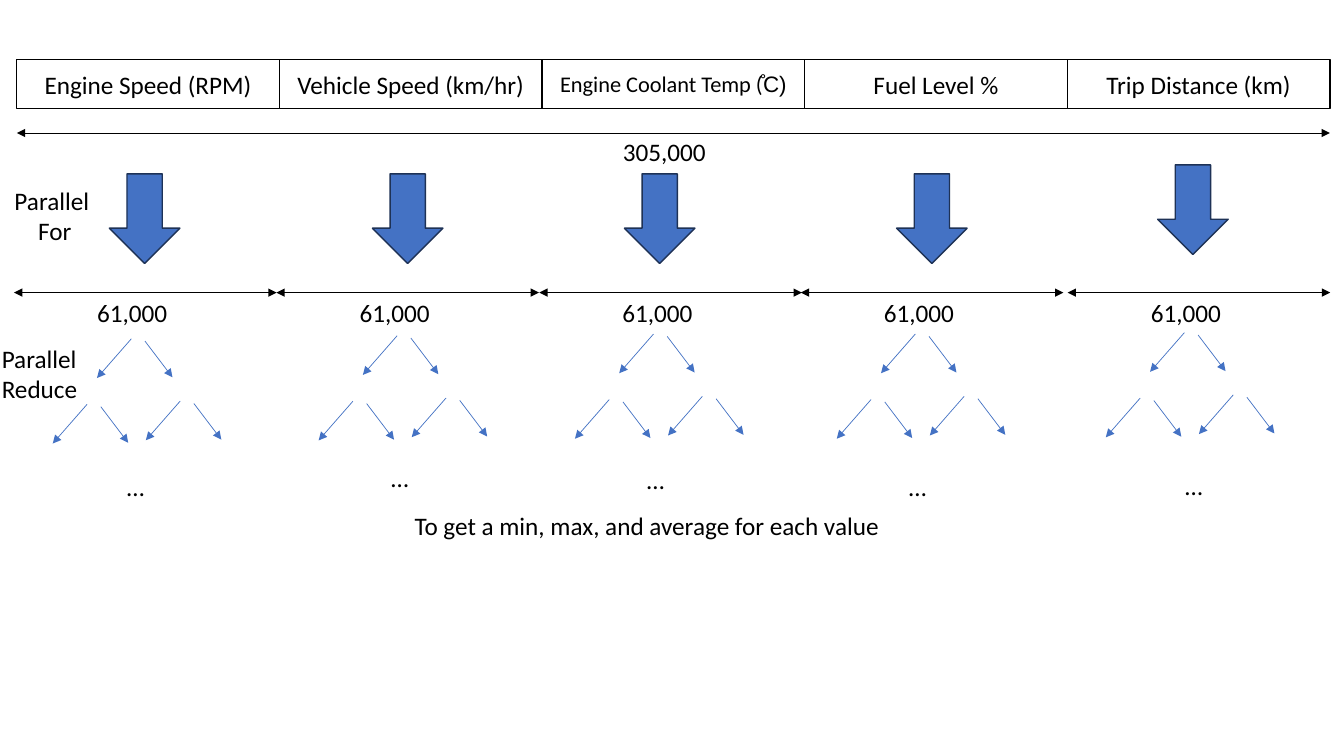
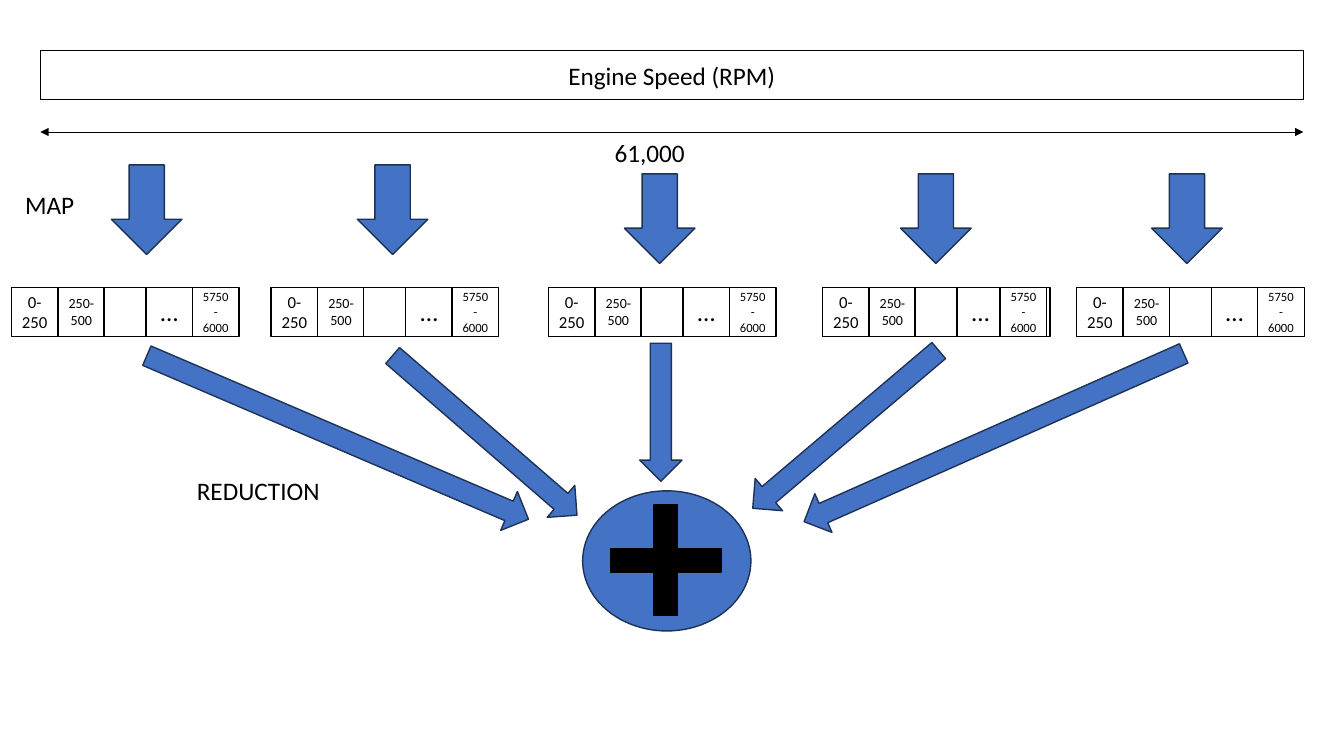
from dataclasses import dataclass

from lxml.etree import SubElement
from pptx import Presentation
from pptx.dml.color import RGBColor
from pptx.enum.shapes import MSO_CONNECTOR, MSO_SHAPE
from pptx.enum.text import MSO_ANCHOR, PP_ALIGN
from pptx.oxml.ns import qn
from pptx.util import Pt


@dataclass(frozen=True)
class Theme:
    black: RGBColor = RGBColor(0x00, 0x00, 0x00)
    white: RGBColor = RGBColor(0xFF, 0xFF, 0xFF)
    blue: RGBColor = RGBColor(0x44, 0x72, 0xC4)
    navy: RGBColor = RGBColor(0x1E, 0x32, 0x56)
    font: str = "Calibri"
    symbol_font: str = "Arial"
    body: float = 18
    compact: float = 16
    outline: float = 1
    hairline: float = 0.5


THEME = Theme()

# Content: a paragraph is a list of (text, format) runs
HEADINGS = [
    [("Engine Speed (RPM)", {})],
    [("Vehicle Speed (km/hr)", {})],
    [("Engine Coolant Temp (", {"size": THEME.compact}),
     ("̊C)", {"size": THEME.compact, "name": THEME.symbol_font})],
    [("Fuel Level %", {})],
    [("Trip Distance (km)", {})],
]
TOTAL_COUNT, COLUMN_COUNT = "305,000", "61,000"
PARALLEL_FOR = ["Parallel", " For"]
PARALLEL_REDUCE = ["Parallel", "Reduce"]
SUMMARY = "To get a min, max, and average for each value"
BINS = [("0-250", 12), ("250-500", 10), ("", 18), ("…", 18), ("5750-6000", 9)]

# Places on the first slide, one entry per column
HEADING_LEFT, HEADING_WIDTH, HEADING_HEIGHT = 12, 187.6, 35
SPAN_LEFTS = [10, 197.4, 385.2, 572, 762.6]
FOR_ARROWS = [(103.3, 156.2), (291.2, 156.2), (471.2, 156.2), (665.6, 156.2), (852.1, 149.8)]
TREE_ROOTS = [(93.8, 242), (283.7, 239.8), (466.8, 238.6), (653.8, 238.6), (846, 237.6)]
ELLIPSES = [(83.5, 333.4), (272.2, 326.9), (455, 328.3), (642.2, 333.4), (839.5, 332.6)]

# A tree is three forks; a fork is two branches
FORKS = [(0, 0), (34.9, 44.5), (-31.6, 46.8)]
BRANCHES = [((0, 0), (-24.5, 28)), ((9.8, 1.7), (29.4, 27.5))]

# Places on the second slide
MAP_ARROWS = [(104.8, 149.8), (280.4, 149.8), (471.2, 156.2), (668.5, 156.2), (847.8, 156.2)]
BIN_GROUPS = [8.1, 193.6, 391.7, 587.5, 769]
BIN_OFFSETS = [0, 33.3, 66.2, 96.2, 129.3]
BIN_TOP, BIN_WIDTH = 205.2, 33.4
SHIFTED_GROUP, LAST_BIN_SHIFT = 3, -2.4
REDUCTION_ARROWS = [  # centre x, centre y, length, rotation
    (241.2, 312.5, 296.6, 23.2),
    (709.9, 312.5, 296.6, 156.1),
    (346.3, 311, 174.2, 40.9),
    (604.1, 306.7, 174.2, 139.7),
    (472, 294.5, 98.6, 90),
]
PLUS_CENTRE = (475.6, 400.3)


# Shared drawing helpers
def write(frame, paragraphs, align=PP_ALIGN.LEFT):
    frame.word_wrap = True
    for index, runs in enumerate(paragraphs):
        para = frame.paragraphs[0] if index == 0 else frame.add_paragraph()
        para.alignment = align
        for text, changes in runs:
            span = para.add_run()
            span.text = text
            values = {"size": THEME.body, "name": THEME.font, **changes}
            values["size"] = Pt(values["size"])
            for name, value in values.items():
                setattr(span.font, name, value)
            span.font.color.rgb = THEME.black


def add_label(page, lines, left, top, width, align=PP_ALIGN.LEFT):
    height = 7.2 + 21.6 * len(lines)
    box = page.shapes.add_textbox(Pt(left), Pt(top), Pt(width), Pt(height))
    write(box.text_frame, [[(line, {})] for line in lines], align)


def add_solid(page, kind, left, top, width, height, fill, line, rotation=0):
    shape = page.shapes.add_shape(kind, Pt(left), Pt(top), Pt(width), Pt(height))
    shape.shadow.inherit = False
    shape.rotation = rotation
    shape.fill.solid()
    shape.fill.fore_color.rgb = fill
    shape.line.color.rgb = line
    shape.line.width = Pt(THEME.outline)
    return shape


def add_cell(page, left, top, width, runs=()):
    cell = add_solid(page, MSO_SHAPE.RECTANGLE, left, top, width, HEADING_HEIGHT,
                     THEME.white, THEME.black)
    cell.text_frame.vertical_anchor = MSO_ANCHOR.MIDDLE
    write(cell.text_frame, [runs], PP_ALIGN.CENTER)


def add_block_arrow(page, x, y, length=64, breadth=50.4, rotation=90):
    add_solid(page, MSO_SHAPE.RIGHT_ARROW, x - length / 2, y - breadth / 2,
              length, breadth, THEME.blue, THEME.navy, rotation)


def add_thin_arrow(page, start, end, color, ends=("tailEnd",)):
    arrow = page.shapes.add_connector(MSO_CONNECTOR.STRAIGHT, *map(Pt, start + end))
    arrow.line.color.rgb = color
    arrow.line.width = Pt(THEME.hairline)
    properties = arrow.line._get_or_add_ln()
    for end_name in ends:
        SubElement(properties, qn(f"a:{end_name}"), type="triangle")
    SubElement(arrow._element.spPr, qn("a:effectLst"))


def add_span(page, left, right, y):
    add_thin_arrow(page, (left, y), (right, y), THEME.black, ("headEnd", "tailEnd"))


def add_tree(page, x, y):
    for fork_x, fork_y in FORKS:
        for branch in BRANCHES:
            start, end = [(x + fork_x + dx, y + fork_y + dy) for dx, dy in branch]
            add_thin_arrow(page, start, end, THEME.blue)


# Slide 1: one parallel task per column
def build_parallel_page(page):
    for index, runs in enumerate(HEADINGS):
        add_cell(page, HEADING_LEFT + index * HEADING_WIDTH, 42.5, HEADING_WIDTH, runs)
    add_span(page, HEADING_LEFT, HEADING_LEFT + len(HEADINGS) * HEADING_WIDTH, 95)
    add_label(page, [TOTAL_COUNT], 437.8, 93.8, 347)

    for left, arrow, root, ellipsis in zip(SPAN_LEFTS, FOR_ARROWS, TREE_ROOTS, ELLIPSES):
        add_span(page, left, left + HEADING_WIDTH, 209)
        add_label(page, [COLUMN_COUNT], left + 52.3, 209, 78.5)
        add_block_arrow(page, *arrow)
        add_tree(page, *root)
        add_label(page, ["…"], *ellipsis, 34.6)

    add_label(page, PARALLEL_FOR, -27.4, 128.9, 128.9, PP_ALIGN.CENTER)
    add_label(page, PARALLEL_REDUCE, -5.8, 241.5, 128.9)
    add_label(page, [SUMMARY], 289, 361, 356.4)


# Slide 2: map into bins, then reduce
def build_reduction_page(page):
    add_cell(page, 28.8, 36, 902.2, HEADINGS[0])
    add_span(page, 28.8, 931, 94.3)
    add_label(page, [COLUMN_COUNT], 432, 94.6, 78.5)
    for arrow in MAP_ARROWS:
        add_block_arrow(page, *arrow)

    for group, left in enumerate(BIN_GROUPS):
        for offset, (text, size) in zip(BIN_OFFSETS, BINS):
            bin_left = left + offset
            if group == SHIFTED_GROUP and offset == BIN_OFFSETS[-1]:
                add_cell(page, bin_left, BIN_TOP, BIN_WIDTH)
                bin_left += LAST_BIN_SHIFT
            runs = [(text, {"size": size})] if text else []
            add_cell(page, bin_left, BIN_TOP, BIN_WIDTH, runs)

    add_solid(page, MSO_SHAPE.OVAL, 416.2, 350.6, 120.2, 100.1, THEME.blue, THEME.navy)
    for x, y, length, rotation in REDUCTION_ARROWS:
        add_block_arrow(page, x, y, length, 30.2, rotation)
    x, y = PLUS_CENTRE
    for width, height in [(16.6, 79.2), (79.2, 16.6)]:
        add_solid(page, MSO_SHAPE.RECTANGLE, x - width / 2, y - height / 2,
                  width, height, THEME.black, THEME.black)

    add_label(page, ["MAP"], 10.8, 131.8, 62)
    add_label(page, ["REDUCTION"], 133.5, 336.2, 140.4)


def main():
    deck = Presentation()
    deck.slide_width, deck.slide_height = Pt(960), Pt(540)
    for build in (build_parallel_page, build_reduction_page):
        build(deck.slides.add_slide(deck.slide_layouts[6]))
    deck.save("out.pptx")


if __name__ == "__main__":
    main()
